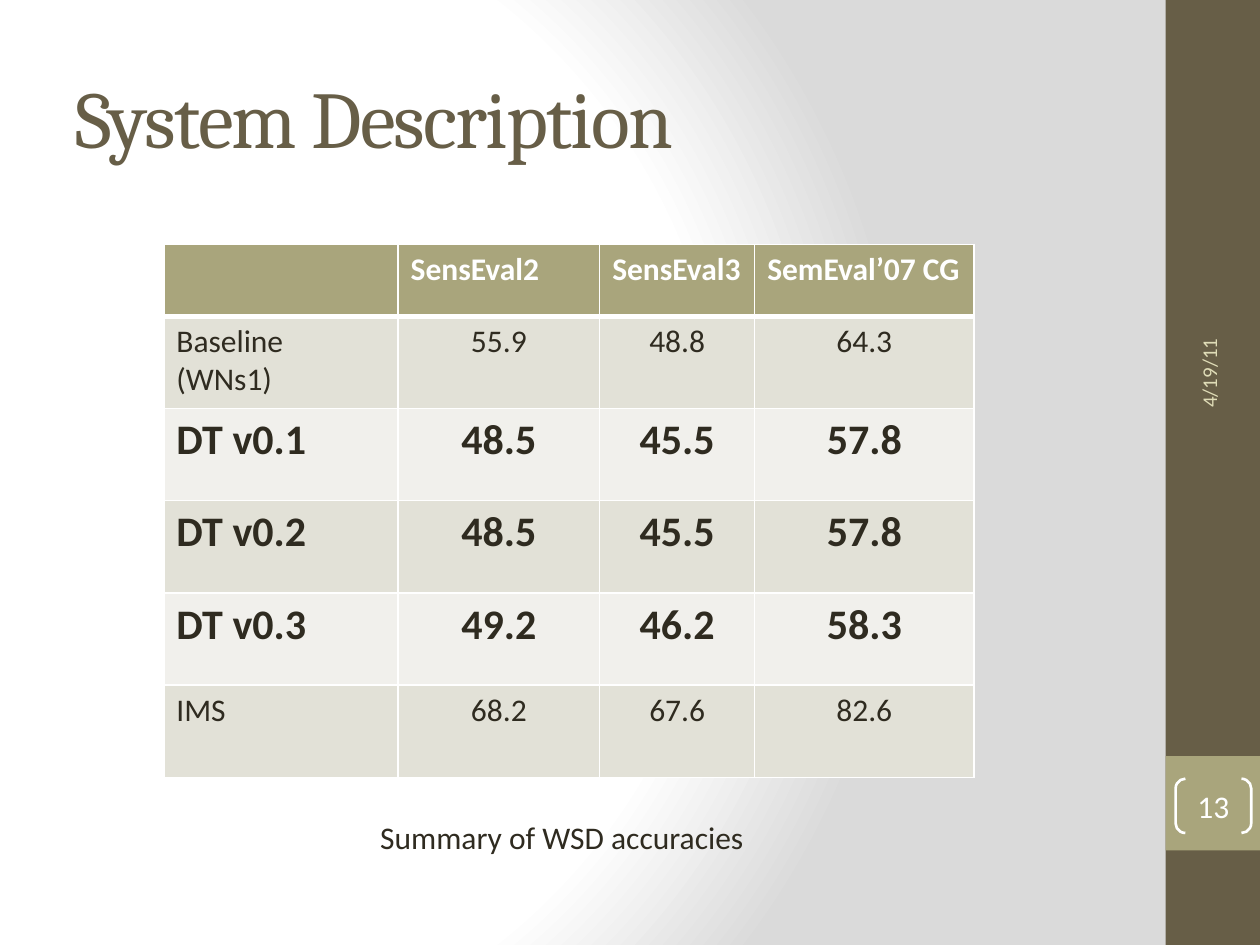
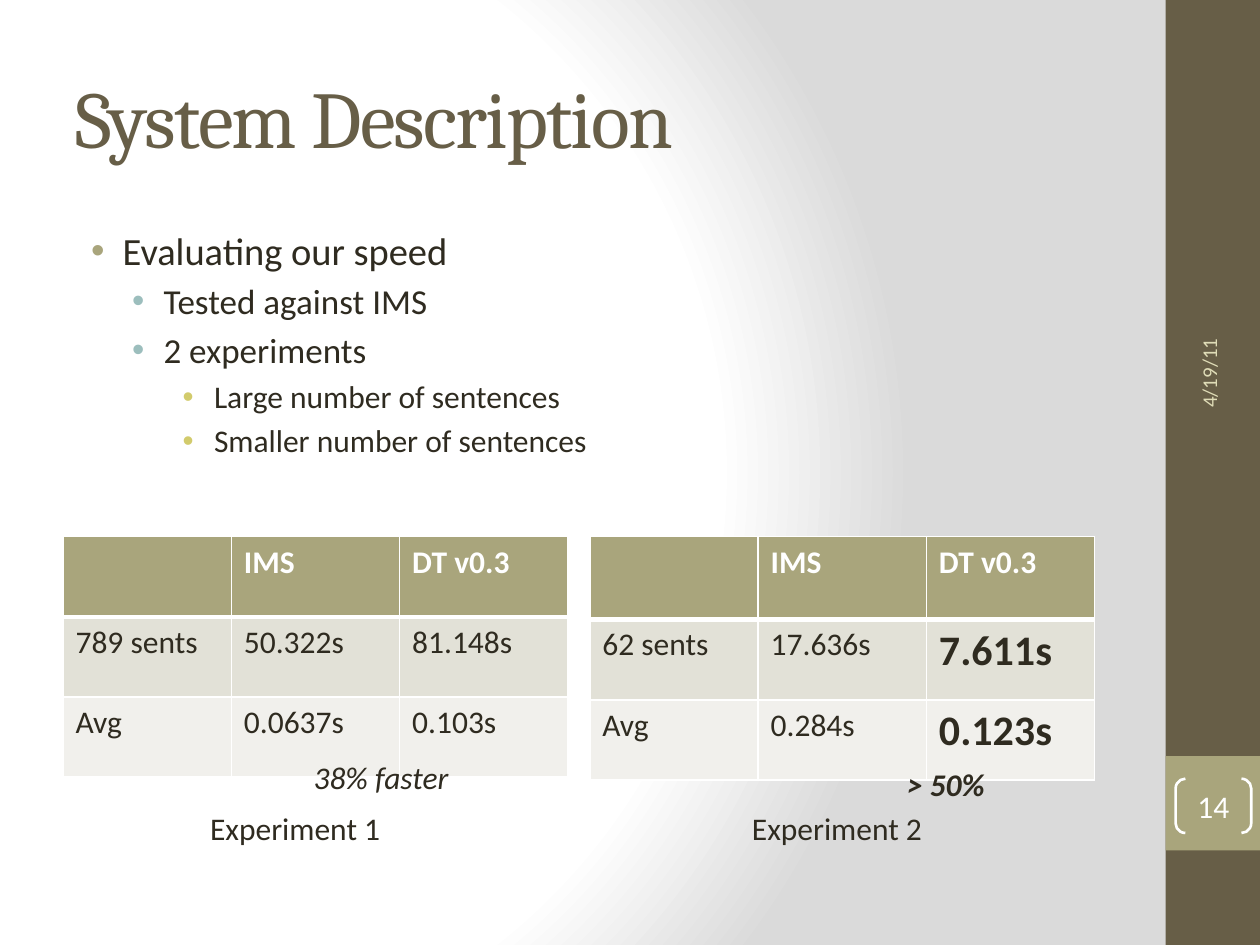
import lxml.etree
import pptx
import pptx.dml.color
import pptx.enum.shapes
import pptx.enum.text
import pptx.oxml
import pptx.oxml.ns
import pptx.util

Pt = pptx.util.Pt
qn = pptx.oxml.ns.qn
Shape = pptx.enum.shapes.MSO_SHAPE
Align = pptx.enum.text.PP_ALIGN
Anchor = pptx.enum.text.MSO_ANCHOR
AutoSize = pptx.enum.text.MSO_AUTO_SIZE

BROWN, OLIVE, INK, WHITE = "675E47", "A9A57C", "2F2B20", "FFFFFF"
ROW_FILLS = ["F1F0EC", "E2E1D7"]
BULLET_LEVELS = [(27, 22, OLIVE), (50.4, 20, "9CBEBD"), (79.2, 18, "D2CB6C")]
BACKGROUND = """<a:gradFill xmlns:a="http://schemas.openxmlformats.org/drawingml/2006/main" rotWithShape="1">
<a:gsLst><a:gs pos="0"><a:srgbClr val="FFFFFF"/></a:gs><a:gs pos="75000"><a:srgbClr val="FFFFFF"/></a:gs>
<a:gs pos="100000"><a:srgbClr val="DADADA"/></a:gs></a:gsLst>
<a:path path="circle"><a:fillToRect l="20000" t="50000" r="100000" b="50000"/></a:path></a:gradFill>"""


def rgb(value):
    return pptx.dml.color.RGBColor.from_string(value)


def write(paragraph, text, size=18, color=INK, bold=False, italic=False, face="Calibri"):
    paragraph.text = text
    for run in paragraph.runs:
        run.font.name = face
        run.font.size = Pt(size)
        run.font.bold = bold
        run.font.italic = italic
        run.font.color.rgb = rgb(color)


accuracy = {
    "left": 93.6, "top": 139.7, "centred": True,
    "widths": [133.9, 115.2, 88.6, 125.3], "heights": [41] + [52.7] * 5,
    "strong": {(row, column) for row in (2, 3, 4) for column in range(4)},
    "rows": [
        ["", "SensEval2", "SensEval3", "SemEval’07 CG"],
        ["Baseline (WNs1)", "55.9", "48.8", "64.3"],
        ["DT v0.1", "48.5", "45.5", "57.8"],
        ["DT v0.2", "48.5", "45.5", "57.8"],
        ["DT v0.3", "49.2", "46.2", "58.3"],
        ["IMS", "68.2", "67.6", "82.6"],
    ],
}
large_experiment = {
    "left": 36, "top": 306.7, "centred": False,
    "widths": [96.2] * 3, "heights": [45.8] * 3, "strong": set(),
    "rows": [
        ["", "IMS", "DT v0.3"],
        ["789 sents", "50.322s", "81.148s"],
        ["Avg", "0.0637s", "0.103s"],
    ],
}
small_experiment = {
    "left": 337, "top": 306.7, "centred": False,
    "widths": [96.2] * 3, "heights": [47.4, 45.8, 45.8], "strong": {(1, 2), (2, 2)},
    "rows": [
        ["", "IMS", "DT v0.3"],
        ["62 sents", "17.636s", "7.611s"],
        ["Avg", "0.284s", "0.123s"],
    ],
}
pages = [
    {
        "number": 13, "points": [], "tables": [accuracy],
        "captions": [("Summary of WSD accuracies", 210.2, 463.7, 224.6, False, False)],
    },
    {
        "number": 14,
        "points": [
            (0, "Evaluating our speed"),
            (1, "Tested against IMS"),
            (1, "2 experiments"),
            (2, "Large number of sentences"),
            (2, "Smaller number of sentences"),
        ],
        "tables": [large_experiment, small_experiment],
        "captions": [
            ("Experiment 1", 113, 458.6, 113, False, False),
            ("Experiment 2", 422.6, 458.6, 113, False, False),
            ("38% faster", 172.1, 429.8, 97.2, False, True),
            ("> 50%", 511.2, 433.4, 64.1, True, True),
        ],
    },
]

deck = pptx.Presentation()
deck.slide_width, deck.slide_height = Pt(720), Pt(540)

for page in pages:
    slide = deck.slides.add_slide(deck.slide_layouts[6])
    slide.background.fill.gradient()
    bg_properties = slide.background._cSld.bg.bgPr
    bg_properties.replace(bg_properties.find(qn("a:gradFill")), pptx.oxml.parse_xml(BACKGROUND))

    for top, height, color in [(0, 540, BROWN), (432, 54, OLIVE)]:
        band = slide.shapes.add_shape(Shape.RECTANGLE, Pt(666), Pt(top), Pt(54), Pt(height))
        band.shadow.inherit = False
        band.fill.solid()
        band.fill.fore_color.rgb = rgb(color)
        band.line.fill.background()

    title = slide.shapes.add_textbox(Pt(36), Pt(21.6), Pt(600), Pt(90)).text_frame
    title.word_wrap = True
    title.vertical_anchor = Anchor.MIDDLE
    write(title.paragraphs[0], "System Description", 46, BROWN, face="Cambria")
    title.paragraphs[0].runs[0].font._element.set("spc", "-100")

    date = slide.shapes.add_textbox(Pt(594.7), Pt(129.6), Pt(192.2), Pt(28.8))
    date.rotation = 270
    date.text_frame.word_wrap = True
    date.text_frame.vertical_anchor = Anchor.MIDDLE
    write(date.text_frame.paragraphs[0], "4/19/11", 12, "DFDCB7")

    page_number = slide.shapes.add_shape(Shape.DOUBLE_BRACKET, Pt(671.8), Pt(445), Pt(43.2), Pt(31))
    page_number.adjustments[0] = 0.18
    page_number.shadow.inherit = False
    page_number.fill.background()
    page_number.line.color.rgb = rgb(WHITE)
    page_number.line.width = Pt(1.5)
    frame = page_number.text_frame
    frame.margin_left = frame.margin_right = frame.margin_top = frame.margin_bottom = 0
    frame.vertical_anchor = Anchor.MIDDLE
    write(frame.paragraphs[0], str(page["number"]), color=WHITE)
    frame.paragraphs[0].alignment = Align.CENTER

    if page["points"]:
        body = slide.shapes.add_textbox(Pt(36), Pt(126), Pt(600), Pt(180.7)).text_frame
        body.word_wrap = True
        for index, (level, text) in enumerate(page["points"]):
            paragraph = body.add_paragraph() if index else body.paragraphs[0]
            indent, size, bullet_color = BULLET_LEVELS[level]
            write(paragraph, text, size)
            paragraph.level = level
            paragraph.space_before = Pt(size * 0.2)
            properties = paragraph._p.get_or_add_pPr()
            properties.set("marL", str(Pt(indent)))
            properties.set("indent", str(-Pt(18)))
            bullet = lxml.etree.SubElement(properties, qn("a:buClr"))
            lxml.etree.SubElement(bullet, qn("a:srgbClr"), val=bullet_color)
            lxml.etree.SubElement(properties, qn("a:buFont"), typeface="Arial")
            lxml.etree.SubElement(properties, qn("a:buChar"), char="•")

    for results in page["tables"]:
        rows, widths, heights = results["rows"], results["widths"], results["heights"]
        table = slide.shapes.add_table(
            len(rows), len(widths), Pt(results["left"]), Pt(results["top"]),
            Pt(sum(widths)), Pt(sum(heights))).table
        for column, width in zip(table.columns, widths):
            column.width = Pt(width)
        for r, (values, height) in enumerate(zip(rows, heights)):
            table.rows[r].height = Pt(height)
            for c, value in enumerate(values):
                cell = table.cell(r, c)
                header, strong = r == 0, (r, c) in results["strong"]
                paragraph = cell.text_frame.paragraphs[0]
                write(paragraph, value, 24 if strong else 18, WHITE if header else INK, header or strong)
                if results["centred"] and r and c:
                    paragraph.alignment = Align.CENTER
                cell_properties = cell._tc.get_or_add_tcPr()
                for side in "LRTB":
                    heavy = (r, side) in [(0, "B"), (1, "T")]
                    border = lxml.etree.SubElement(
                        cell_properties, qn("a:ln" + side), w=str(Pt(3 if heavy else 1)))
                    paint = lxml.etree.SubElement(border, qn("a:solidFill"))
                    lxml.etree.SubElement(paint, qn("a:srgbClr"), val=WHITE)
                cell.fill.solid()
                cell.fill.fore_color.rgb = rgb(OLIVE if header else ROW_FILLS[r % 2])

    for text, left, top, width, bold, italic in page["captions"]:
        caption = slide.shapes.add_textbox(Pt(left), Pt(top), Pt(width), Pt(29)).text_frame
        caption.word_wrap = False
        caption.auto_size = AutoSize.SHAPE_TO_FIT_TEXT
        write(caption.paragraphs[0], text, bold=bold, italic=italic)

deck.save("out.pptx")
